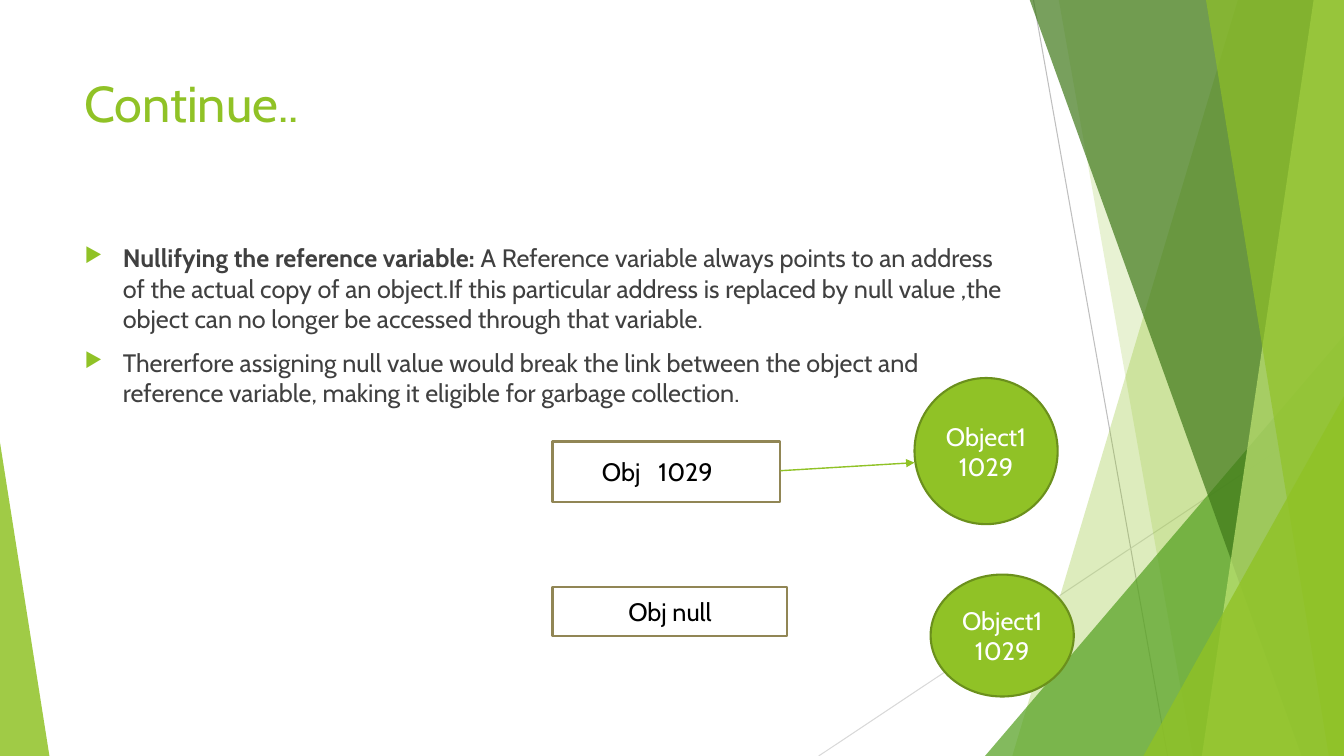
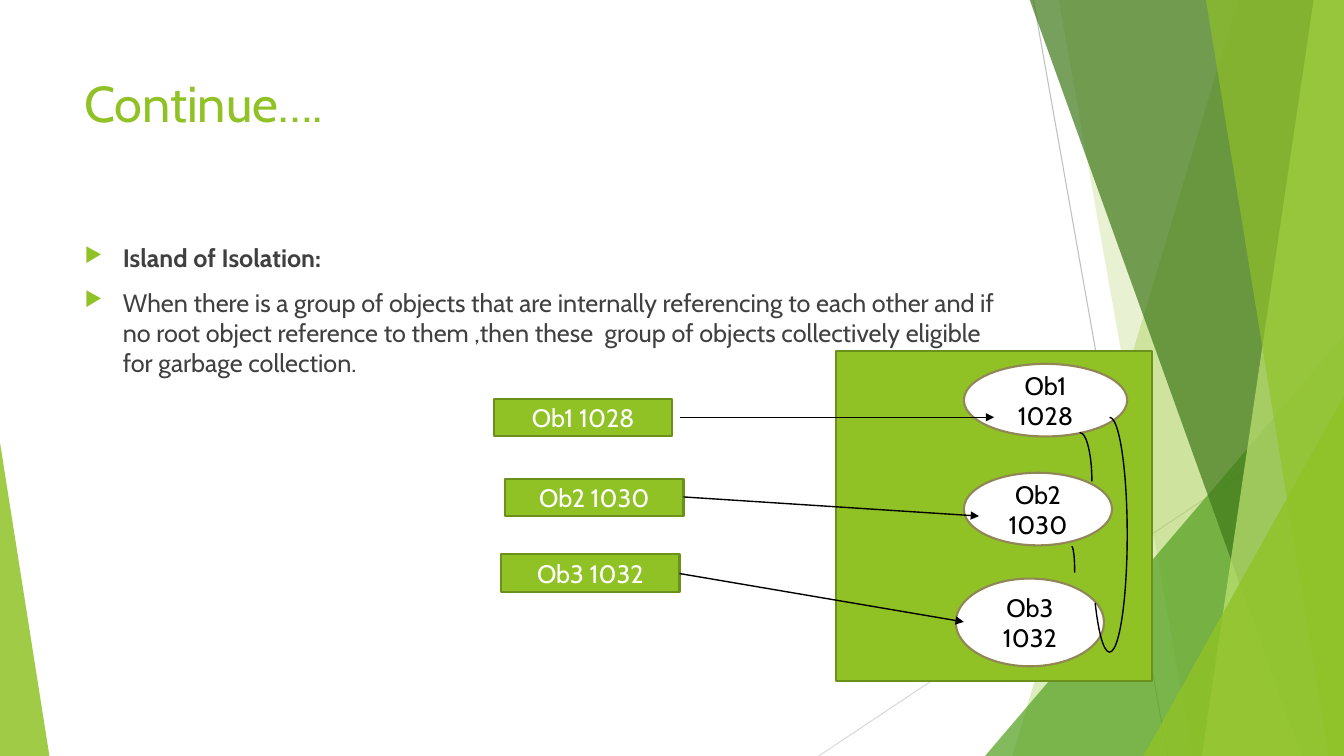
import pptx
import pptx.dml.color
import pptx.enum.shapes
import pptx.enum.text
import pptx.oxml.ns
import pptx.util
import lxml.etree

Inches = pptx.util.Inches
Pt = pptx.util.Pt
SHAPE = pptx.enum.shapes.MSO_SHAPE
ALIGN = pptx.enum.text.PP_ALIGN
qn = pptx.oxml.ns.qn

FONT = "Cabin"
COLOURS = {
    name: pptx.dml.color.RGBColor.from_string(value)
    for name, value in {
        "green": "90C226", "mid green": "54A021", "dark green": "3F7819",
        "pale green": "C0E474", "green edge": "6B901C", "olive edge": "918655",
        "text": "404040", "black": "000000", "white": "FFFFFF",
        "grey": "BFBFBF", "pale grey": "D9D9D9",
    }.items()
}

# Background, back to front
TOP, BOTTOM, RIGHT = -0.01, 7.5, 13.33
THIN_LINES = [
    ((10.25, 0), (11.58, BOTTOM), "grey"),
    ((RIGHT, 4.03), (8.12, BOTTOM), "pale grey"),
]
# Bands reach the right edge: top left x, bottom left x, colour, opacity.
# Triangles: left, top, width, apex position, colour, opacity.
FACETS = [
    (12.28, 10.04, "green", 30),
    (10.5, 11.83, "green", 20),
    (9.77, 3.33, 3.56, 1, "mid green", 72),
    (10.21, 12.91, "dark green", 70),
    (13.03, 11.92, "pale green", 70),
    (11.96, 13.18, "green", 65),
    (11.34, 3.93, 1.99, 1, "green", 80),
    (0, 4.39, 0.49, 0, "green", 85),
]

SLIDES = [
    ("Continue..", [
        ("Nullifying the reference variable: ",
         "A Reference variable always points to an address of the actual copy of an object."
         "If this particular address is replaced by null value ,the object can no longer "
         "be accessed through that variable."),
        ("", "Thererfore assigning null value would break the link between the object and "
             "reference variable, making it eligible for garbage collection."),
    ]),
    ("Continue….", [
        ("Island of Isolation:", ""),
        ("", "When there is a group of objects that are internally referencing to each other "
             "and if no root object reference to them ,then these  group of objects "
             "collectively eligible for garbage collection."),
    ]),
]


def add_node(page, kind, box, fill, edge, text="", colour="black"):
    node = page.shapes.add_shape(kind, *map(Inches, box))
    node.shadow.inherit = False
    if fill:
        node.fill.solid()
        node.fill.fore_color.rgb = COLOURS[fill]
    else:
        node.fill.background()
    node.line.color.rgb = COLOURS[edge]
    node.line.width = Pt(1.5)
    node.text_frame.text = text
    for para in node.text_frame.paragraphs:
        para.alignment = ALIGN.CENTER
        para.font.size = Pt(18)
        para.font.name = FONT
        for span in para.runs:
            span.font.size = Pt(18)
            span.font.name = FONT
            span.font.color.rgb = COLOURS[colour]
    return node


def add_line(page, start, end, colour, width=1, arrow=True):
    line = page.shapes.add_connector(
        pptx.enum.shapes.MSO_CONNECTOR.STRAIGHT, *map(Inches, start + end))
    line.line.color.rgb = COLOURS[colour]
    line.line.width = Pt(width)
    if arrow:
        lxml.etree.SubElement(line.line._get_or_add_ln(), qn("a:tailEnd"), type="triangle")
    lxml.etree.SubElement(line._element.spPr, qn("a:effectLst"))


deck = pptx.Presentation()
deck.slide_width, deck.slide_height = Inches(RIGHT), Inches(BOTTOM)

# Shared background, title and bullets
for title, bullets in SLIDES:
    page = deck.slides.add_slide(deck.slide_layouts[6])
    for start, end, colour in THIN_LINES:
        add_line(page, start, end, colour, 0.75, arrow=False)

    for *place, colour, opacity in FACETS:
        if len(place) == 2:
            top_x, bottom_x = place
            outline = page.shapes.build_freeform(Inches(top_x), Inches(TOP))
            outline.add_line_segments([
                (Inches(x), Inches(y))
                for x, y in [(RIGHT, TOP), (RIGHT, BOTTOM), (bottom_x, BOTTOM)]])
            facet = outline.convert_to_shape()
        else:
            left, top, width, apex = place
            facet = page.shapes.add_shape(
                SHAPE.ISOSCELES_TRIANGLE, *map(Inches, (left, top, width, BOTTOM - top)))
            facet.adjustments[0] = apex
        facet.shadow.inherit = False
        facet.line.fill.background()
        facet.fill.solid()
        facet.fill.fore_color.rgb = COLOURS[colour]
        tint = facet._element.spPr.find(qn("a:solidFill"))[0]
        lxml.etree.SubElement(tint, qn("a:alpha"), val=str(opacity * 1000))

    heading = page.shapes.add_textbox(*map(Inches, (0.74, 0.67, 9.4, 1.44))).text_frame
    heading.word_wrap = True
    heading.text = title
    span = heading.paragraphs[0].runs[0]
    span.font.size = Pt(36)
    span.font.name = FONT
    span.font.color.rgb = COLOURS["green"]

    body = page.shapes.add_textbox(*map(Inches, (0.74, 2.36, 9.4, 4.24))).text_frame
    body.word_wrap = True
    for number, parts in enumerate(bullets):
        para = body.add_paragraph() if number else body.paragraphs[0]
        para.space_before = Pt(10)
        layout = para._p.get_or_add_pPr()
        layout.set("marL", str(Inches(0.38)))
        layout.set("indent", str(Inches(-0.38)))
        bullet_colour = lxml.etree.SubElement(layout, qn("a:buClr"))
        lxml.etree.SubElement(bullet_colour, qn("a:srgbClr"), val=str(COLOURS["green"]))
        lxml.etree.SubElement(layout, qn("a:buSzPct"), val="80000")
        lxml.etree.SubElement(layout, qn("a:buChar"), char="▶")
        for bold, words in zip((True, False), parts):
            if words:
                span = para.add_run()
                span.text = words
                span.font.bold = bold
                span.font.size = Pt(18)
                span.font.name = FONT
                span.font.color.rgb = COLOURS["text"]

null_page, island_page = deck.slides

# Reference before and after it is set to null
for box in [(9.07, 3.75, 1.42, 1.45), (9.23, 5.7, 1.42, 1.21)]:
    add_node(null_page, SHAPE.OVAL, box, "green", "green edge", "Object1\n1029", "white")
reference = add_node(null_page, SHAPE.RECTANGLE, (5.48, 4.38, 2.26, 0.6),
                     "white", "olive edge", "Obj\t1029")
reference.text_frame.margin_left = Inches(0.49)
para = reference.text_frame.paragraphs[0]
para.alignment = ALIGN.LEFT
tabs = lxml.etree.SubElement(para._p.get_or_add_pPr(), qn("a:tabLst"))
lxml.etree.SubElement(tabs, qn("a:tab"), pos=str(Inches(0.56)), algn="l")
para._p.pPr.insert(0, tabs)
add_node(null_page, SHAPE.RECTANGLE, (5.48, 5.82, 2.33, 0.49),
         "white", "olive edge", "Obj null")
add_line(null_page, (7.74, 4.67), (9.07, 4.59), "green")

# Island of objects and the references into it
add_node(island_page, SHAPE.RECTANGLE, (8.29, 3.48, 3.14, 3.28), "green", "green edge")
ISLAND = [
    ("Ob1", "1028", (9.56, 3.61, 1.62, 0.72), (4.9, 3.96), (6.74, 4.14), (9.86, 4.14)),
    ("Ob2", "1030", (9.56, 4.69, 1.47, 0.72), (5.01, 4.75), (6.78, 4.93), (9.71, 5.12)),
    ("Ob3", "1032", (9.48, 5.74, 1.47, 0.87), (4.97, 5.5), (6.74, 5.69), (9.56, 6.17)),
]
for name, address, oval, corner, start, end in ISLAND:
    add_node(island_page, SHAPE.OVAL, oval, "white", "olive edge", f"{name}\n{address}")
    add_node(island_page, SHAPE.RECTANGLE, corner + (1.77, 0.37),
             "green", "green edge", f"{name} {address}", "white")
    add_line(island_page, start, end, "black")

# Links between the objects
for box in [(10.59, 4.29, 0.24, 0.97), (10.6, 5.42, 0.06, 0.52), (10.83, 4.14, 0.35, 2.33)]:
    link = add_node(island_page, SHAPE.ARC, box, None, "black")
    link.line.width = Pt(1)
link.adjustments[0], link.adjustments[1] = 162, 61.12

deck.save("out.pptx")
